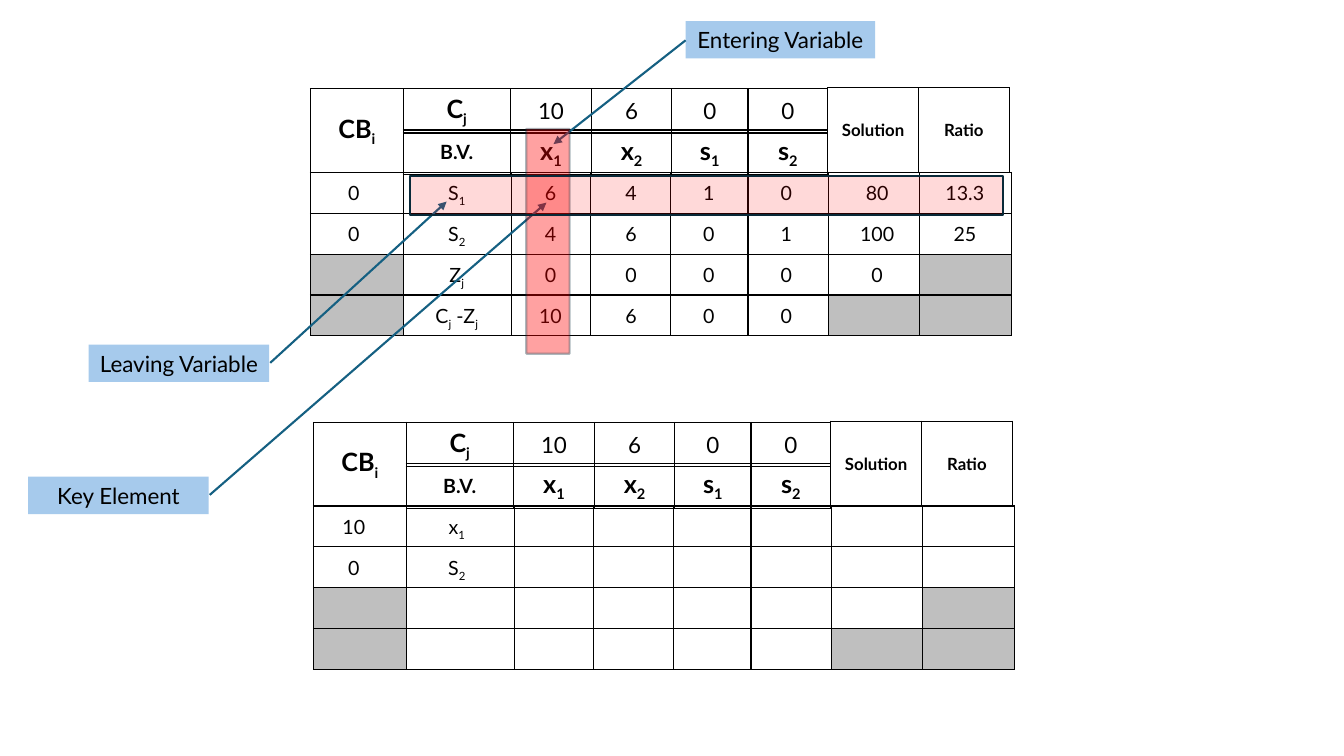
"""Build a slide showing two simplex tableaux with the key row, column and element marked."""
from lxml import etree
from pptx import Presentation
from pptx.dml.color import RGBColor
from pptx.enum import shapes, text
from pptx.oxml import ns
from pptx.util import Inches, Pt

FONT = "Lato"
COLORS = {"ink": "000000", "grey": "BFBFBF", "label": "A6CAEC", "arrow": "156082",
          "key": "FF0000", "outline": "092A39"}

COSTS = [("C_j", 18, True)] + [(cost, 16, False) for cost in ("10", "6", "0", "0")]
VARIABLES = [("B.V.", 14, True)] + [(name, 18, True) for name in ("x_1", "x_2", "s_1", "s_2")]
BASIS = [("CB_i", 18, True)]
RESULTS = [("Solution", 12, True), ("Ratio", 12, True)]
HEADER_WIDTHS = [1.06, 0.81, 0.79, 0.76, 0.79]
BODY_WIDTHS = [0.92, 1.07, 0.79, 0.79, 0.77, 0.8, 0.9, 0.91]
ROW_HEIGHT = 0.405
GREY_CELLS = {(2, 0), (2, 7), (3, 0), (3, 6), (3, 7)}
VALUE_CENTERS = [3.51, 4.53, 5.46, 6.26, 7.03, 7.8, 8.7, 9.57]

TABLEAUX = [
    (3.08, 0.88, [["0", "S_1", "6", "4", "1", "0", "80", "13.3"],
                  ["0", "S_2", "4", "6", "0", "1", "100", "25"],
                  ["", "Z_j", "0", "0", "0", "0", "0", ""],
                  ["", "C_j -Z_j", "10", "6", "0", "0", "", ""]]),
    (3.11, 4.19, [["10", "x_1"], ["0", "S_2"]]),
]
LABELS = [
    ("Leaving Variable", 0.88, 3.42, 1.79, (2.68, 3.6), (4.43, 2)),
    ("Entering Variable", 6.8, 0.21, 1.88, (6.8, 0.4), (5.49, 1.43)),
    ("Key Element", 0.28, 4.73, 1.79, (2.08, 4.91), (5.42, 2.01)),
]
HIGHLIGHTS = [((5.22, 1.28, 0.43, 2.23), 37, 32), ((4.07, 1.75, 5.88, 0.38), 15, 100)]


def color(name):
    return RGBColor.from_string(COLORS[name])


def add_element(parent, tag, **attributes):
    return etree.SubElement(parent, ns.qn(tag), attributes)


def write(frame, markup, size, bold=False):
    """Write centred text in which an underscore lowers the next character."""
    paragraph = frame.paragraphs[0]
    paragraph.alignment = text.PP_ALIGN.CENTER
    first, *rest = markup.split("_")
    pieces = [(first, False)]
    for part in rest:
        pieces += [(part[0], True), (part[1:], False)]
    for piece, lowered in pieces:
        if piece:
            run = paragraph.add_run()
            run.text = piece
            run.font.name, run.font.size, run.font.bold = FONT, Pt(size), bold
            run.font.color.rgb = color("ink")
            if lowered:
                run.font._element.set("baseline", "-25000")


def add_grid(slide, left, top, widths, height, rows, grey=()):
    frame = slide.shapes.add_table(len(rows), len(widths), Inches(left), Inches(top),
                                   Inches(sum(widths)), Inches(height * len(rows)))
    table = frame.table
    table.first_row = table.horz_banding = False
    for column, width in zip(table.columns, widths):
        column.width = Inches(width)
    for r, entries in enumerate(rows):
        table.rows[r].height = Inches(height)
        for c, entry in enumerate(entries):
            cell = table.cell(r, c)
            cell.vertical_anchor = text.MSO_ANCHOR.MIDDLE
            properties = cell._tc.get_or_add_tcPr()
            for side in "LRTB":
                border = add_element(properties, f"a:ln{side}", w=str(Pt(1)))
                fill = add_element(border, "a:solidFill")
                add_element(fill, "a:srgbClr", val=COLORS["ink"])
            if (r, c) in grey:
                cell.fill.solid()
                cell.fill.fore_color.rgb = color("grey")
            else:
                cell.fill.background()
            if entry:
                write(cell.text_frame, *entry)


def add_value(slide, markup, center, top):
    width = min(0.25 + 0.12 * len(markup.replace("_", "")), 0.71)
    box = slide.shapes.add_textbox(Inches(center - width / 2), Inches(top), Inches(width), Inches(0.34))
    box.text_frame.word_wrap = False
    write(box.text_frame, markup, 14)


def add_tableau(slide, left, top, values):
    middle, body_top = left + BODY_WIDTHS[0], top + 0.83
    add_grid(slide, middle, top + 0.41, HEADER_WIDTHS, 0.41, [VARIABLES])
    add_grid(slide, middle, top, HEADER_WIDTHS, 0.41, [COSTS])
    add_grid(slide, left, top, BODY_WIDTHS[:1], 0.83, [BASIS])
    add_grid(slide, middle + sum(HEADER_WIDTHS), top - 0.01, [0.9, 0.9], 0.84, [RESULTS])
    add_grid(slide, left, body_top, BODY_WIDTHS, ROW_HEIGHT, [[None] * 8] * 4, GREY_CELLS)
    for r, row in enumerate(values):
        for value, center in zip(row, VALUE_CENTERS):
            if value:
                add_value(slide, value, center, body_top + 0.04 + r * ROW_HEIGHT)


def add_rectangle(slide, box, fill):
    shape = slide.shapes.add_shape(shapes.MSO_SHAPE.RECTANGLE, *map(Inches, box))
    shape.shadow.inherit = False
    shape.fill.solid()
    shape.fill.fore_color.rgb = color(fill)
    return shape


def add_label(slide, caption, left, top, width, start, end):
    shape = add_rectangle(slide, (left, top, width, 0.37), "label")
    shape.line.fill.background()
    shape.text_frame.word_wrap = True
    write(shape.text_frame, caption, 16)
    arrow = slide.shapes.add_connector(shapes.MSO_CONNECTOR.STRAIGHT, *map(Inches, start + end))
    arrow.line.color.rgb = color("arrow")
    arrow.line.width = Pt(1.5)
    add_element(arrow.line._get_or_add_ln(), "a:tailEnd", type="triangle")
    add_element(arrow._element.spPr, "a:effectLst")


def add_highlight(slide, box, fill_alpha, line_alpha):
    shape = add_rectangle(slide, box, "key")
    shape.line.color.rgb = color("outline")
    shape.line.width = Pt(1.5)
    fill_color, line_color = shape._element.spPr.iter(ns.qn("a:srgbClr"))
    add_element(fill_color, "a:alpha", val=str(fill_alpha * 1000))
    add_element(line_color, "a:alpha", val=str(line_alpha * 1000))


def main():
    presentation = Presentation()
    presentation.slide_width, presentation.slide_height = Inches(13.33), Inches(7.5)
    slide = presentation.slides.add_slide(presentation.slide_layouts[6])
    for tableau in TABLEAUX:
        add_tableau(slide, *tableau)
    for label in LABELS:
        add_label(slide, *label)
    for highlight in HIGHLIGHTS:
        add_highlight(slide, *highlight)
    presentation.save("out.pptx")


if __name__ == "__main__":
    main()
